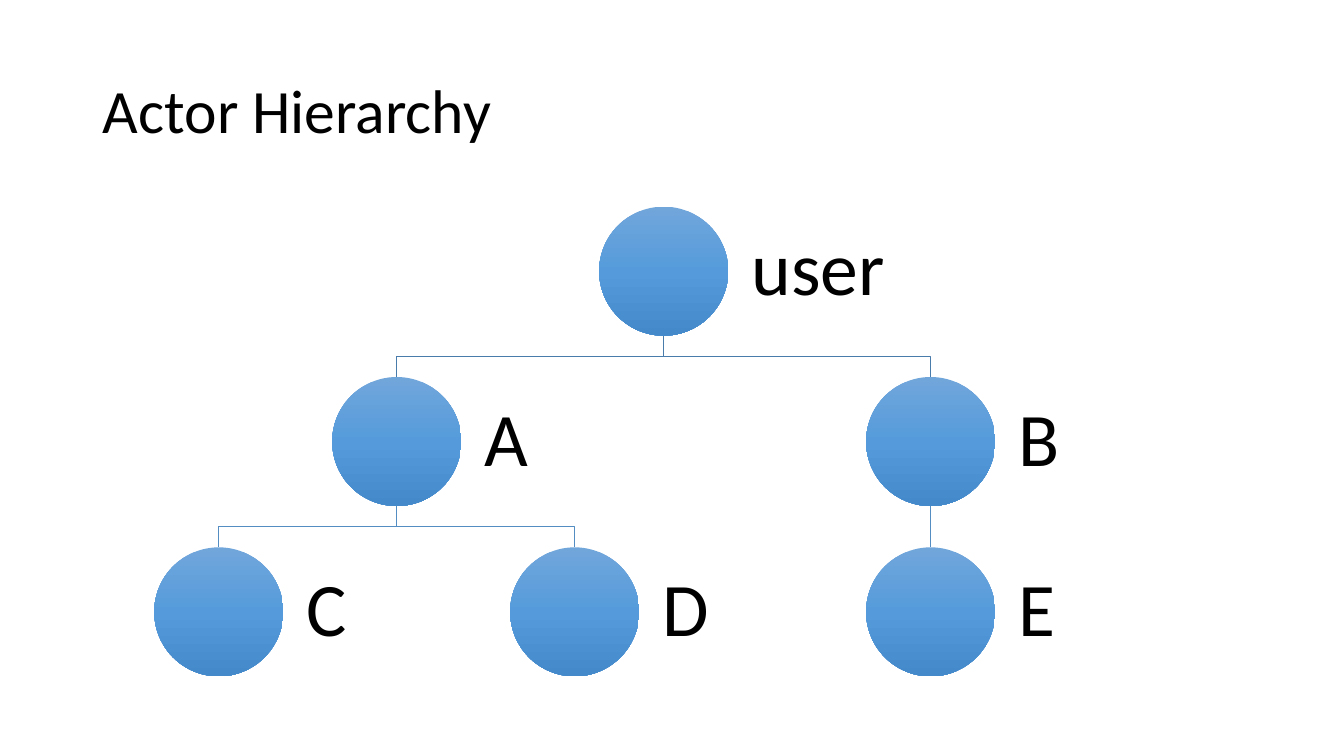
from copy import deepcopy
from dataclasses import dataclass

from pptx import Presentation
from pptx import util as u
from pptx.dml.color import RGBColor
from pptx.enum import shapes, text
from pptx.oxml.ns import qn
from pptx.oxml.xmlchemy import OxmlElement

BLACK = RGBColor(0x00, 0x00, 0x00)
UPPER_LINE = RGBColor(0x49, 0x7C, 0xAB)
LOWER_LINE = RGBColor(0x53, 0x8D, 0xC1)
BLUE_STOPS = (
    (0, RGBColor(0x71, 0xA6, 0xDB)),
    (0.5, RGBColor(0x55, 0x9B, 0xDB)),
    (1, RGBColor(0x44, 0x8A, 0xCA)),
)

FONT = "Calibri"
FIRST_X, FIRST_Y = u.Inches(2.17), u.Inches(2.69)
COLUMN, ROW = u.Inches(3.53), u.Inches(1.69)
DIAMETER = u.Inches(1.28)
RADIUS = DIAMETER // 2
LABEL_WIDTH = u.Inches(1.93)
LABEL_INSET = u.Inches(0.23)


@dataclass(frozen=True)
class Actor:
    name: str
    column: float
    row: int
    parent: str = ""

    @property
    def x(self) -> int:
        return int(FIRST_X + self.column * COLUMN)

    @property
    def y(self) -> int:
        return FIRST_Y + self.row * ROW


ACTORS = (
    Actor("user", 1.25, 0),
    Actor("A", 0.5, 1, "user"),
    Actor("B", 2, 1, "user"),
    Actor("C", 0, 2, "A"),
    Actor("D", 1, 2, "A"),
    Actor("E", 2, 2, "B"),
)


def write_text(shape, content: str, *, size: int, inset: int) -> None:
    frame = shape.text_frame
    frame.word_wrap = True
    frame.auto_size = text.MSO_AUTO_SIZE.NONE
    frame.vertical_anchor = text.MSO_ANCHOR.MIDDLE
    frame.margin_left = frame.margin_right = inset
    frame.margin_top = frame.margin_bottom = inset
    paragraph = frame.paragraphs[0]
    paragraph.alignment = text.PP_ALIGN.LEFT
    paragraph.line_spacing = 0.9
    run = paragraph.add_run()
    run.text = content
    run.font.name = FONT
    run.font.size = u.Pt(size)
    run.font.color.rgb = BLACK


def draw_branch(slide, parent: Actor, child: Actor) -> None:
    top, bottom = parent.y + RADIUS, child.y - RADIUS
    if parent.x == child.x:
        branch = slide.shapes.add_connector(
            shapes.MSO_CONNECTOR.STRAIGHT, parent.x, top, child.x, bottom
        )
        branch._element.spPr.append(OxmlElement("a:effectLst"))
    else:
        middle = (top + bottom) // 2
        builder = slide.shapes.build_freeform(parent.x, top)
        builder.add_line_segments(
            [(parent.x, middle), (child.x, middle), (child.x, bottom)], close=False
        )
        branch = builder.convert_to_shape()
        branch.shadow.inherit = False
        branch.fill.background()
    branch.line.color.rgb = LOWER_LINE if parent.row else UPPER_LINE
    branch.line.width = u.Pt(0.5)


def fill_with_gradient(shape) -> None:
    shape.fill.gradient()
    shape.fill.gradient_angle = 270
    stop_list = shape._element.spPr.find(qn("a:gradFill")).find(qn("a:gsLst"))
    stop_list.append(deepcopy(stop_list[0]))
    for stop, (position, color) in zip(shape.fill.gradient_stops, BLUE_STOPS):
        stop.position = position
        stop.color.rgb = color


def draw_actor(slide, actor: Actor) -> None:
    top = actor.y - RADIUS
    circle = slide.shapes.add_shape(
        shapes.MSO_SHAPE.OVAL, actor.x - RADIUS, top, DIAMETER, DIAMETER
    )
    circle.shadow.inherit = False
    circle.line.fill.background()
    fill_with_gradient(circle)
    label = slide.shapes.add_textbox(actor.x + RADIUS, top, LABEL_WIDTH, DIAMETER)
    write_text(label, actor.name, size=54, inset=LABEL_INSET)


def main() -> None:
    presentation = Presentation()
    presentation.slide_width = u.Inches(13.33)
    presentation.slide_height = u.Inches(7.5)
    slide = presentation.slides.add_slide(presentation.slide_layouts.get_by_name("Title Only"))

    title = slide.shapes.title
    title.left, title.top = u.Inches(0.92), u.Inches(0.4)
    title.width, title.height = u.Inches(11.5), u.Inches(1.45)
    write_text(title, "Actor Hierarchy", size=44, inset=u.Inches(0.1))

    by_name = {actor.name: actor for actor in ACTORS}
    for actor in ACTORS:
        if actor.parent:
            draw_branch(slide, by_name[actor.parent], actor)
    for actor in ACTORS:
        draw_actor(slide, actor)
    presentation.save("out.pptx")


if __name__ == "__main__":
    main()
